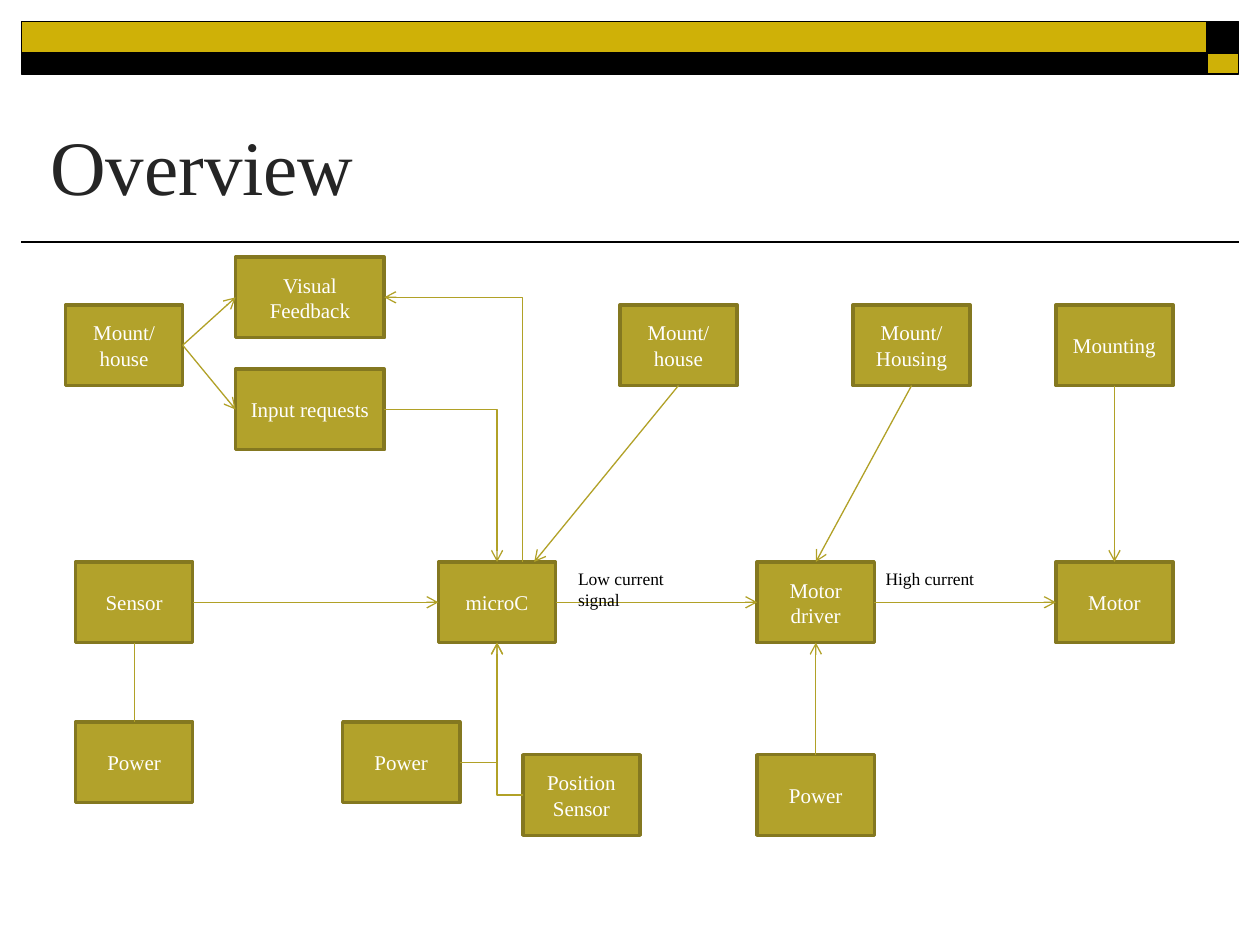
import dataclasses

import lxml.etree
import pptx
import pptx.dml.color
import pptx.enum.shapes
import pptx.enum.text
import pptx.oxml.ns
import pptx.util

Inches = pptx.util.Inches
TOP, LEFT, BOTTOM, RIGHT = range(4)


@dataclasses.dataclass(frozen=True)
class Theme:
    """Colours, font and sizes of the slide."""
    font: str = "Times New Roman"
    black: str = "000000"
    white: str = "FFFFFF"
    gold: str = "CFB107"
    title: str = "252525"
    node: str = "B2A22B"
    node_edge: str = "847820"
    arrow: str = "B1A127"
    title_size: float = 44
    node_size: float = 12
    label_size: float = 10
    rule_width: float = 1
    edge_width: float = 2
    arrow_width: float = 0.75


THEME = Theme()

NODES = {
    "sensor": ("Sensor", 0.08, 2.42, 0.93),
    "micro": ("microC", 2.96, 2.42, 0.93),
    "driver": ("Motor driver", 5.49, 2.42, 0.93),
    "motor": ("Motor", 7.86, 2.42, 0.93),
    "mounting": ("Mounting", 7.86, 0.38, 0.93),
    "driver_mount": ("Mount/\nHousing", 6.25, 0.38, 0.93),
    "micro_mount": ("Mount/\nhouse", 4.4, 0.38, 0.93),
    "panel_mount": ("Mount/\nhouse", 0, 0.38, 0.93),
    "visual": ("Visual Feedback", 1.35, 0, 1.18),
    "input": ("Input requests", 1.35, 0.89, 1.18),
    "sensor_power": ("Power", 0.08, 3.69, 0.93),
    "micro_power": ("Power", 2.2, 3.69, 0.93),
    "position": ("Position Sensor", 3.63, 3.95, 0.93),
    "driver_power": ("Power", 5.49, 3.95, 0.93),
}
NODE_HEIGHT = 0.64

STRAIGHT_ARROWS = [
    ("sensor", RIGHT, "micro", LEFT),
    ("micro", RIGHT, "driver", LEFT),
    ("driver", RIGHT, "motor", LEFT),
    ("mounting", BOTTOM, "motor", TOP),
    ("driver_mount", BOTTOM, "driver", TOP),
    ("driver_power", TOP, "driver", BOTTOM),
    ("panel_mount", RIGHT, "visual", LEFT),
    ("panel_mount", RIGHT, "input", LEFT),
]
BENT_ARROWS = [
    ("position", LEFT, "micro", BOTTOM),
    ("micro_power", RIGHT, "micro", BOTTOM),
    ("input", RIGHT, "micro", TOP),
]
LABELS = [("High current", 6.41, 2.42, 1.13, 0.41),
          ("Low current\nsignal", 3.97, 2.42, 1.1, 0.67)]


def rgb(value):
    """Turn a hex string into a colour."""
    return pptx.dml.color.RGBColor.from_string(value)


def add_rect(slide, box, fill, edge, width):
    """Add a filled rectangle with an outline."""
    sp = slide.shapes.add_shape(pptx.enum.shapes.MSO_SHAPE.RECTANGLE, *map(Inches, box))
    sp.shadow.inherit = False
    sp.fill.solid()
    sp.fill.fore_color.rgb = rgb(fill)
    sp.line.color.rgb = rgb(edge)
    sp.line.width = pptx.util.Pt(width)
    return sp


def write(sp, text, size, color, align, anchor):
    """Write one paragraph for each line of the text."""
    tf = sp.text_frame
    tf.word_wrap = True
    tf.vertical_anchor = anchor
    for i, line in enumerate(text.split("\n")):
        p = tf.add_paragraph() if i else tf.paragraphs[0]
        p.alignment = align
        r = p.add_run()
        r.text = line
        r.font.name = THEME.font
        r.font.size = pptx.util.Pt(size)
        r.font.color.rgb = rgb(color)


def add_text(slide, box, text, size, color):
    """Add a left-aligned text box."""
    sp = slide.shapes.add_textbox(*map(Inches, box))
    write(sp, text, size, color, pptx.enum.text.PP_ALIGN.LEFT, pptx.enum.text.MSO_ANCHOR.TOP)


def add_line(slide, start, end, color, width, arrow=None, bent=False):
    """Add a connector, with arrow naming the end that has an arrowhead."""
    kind = pptx.enum.shapes.MSO_CONNECTOR
    cx = slide.shapes.add_connector(kind.ELBOW if bent else kind.STRAIGHT,
                                    *map(Inches, (*start, *end)))
    cx.line.color.rgb = rgb(color)
    cx.line.width = pptx.util.Pt(width)
    qn = pptx.oxml.ns.qn
    sp_pr = cx.element.spPr
    if bent:
        sp_pr.find(qn("a:prstGeom")).set("prst", "bentConnector2")
    if arrow:
        lxml.etree.SubElement(cx.line._get_or_add_ln(), qn(f"a:{arrow}"), type="arrow")
    lxml.etree.SubElement(sp_pr, qn("a:effectLst"))
    return cx


def side_point(box, side):
    """Return the middle of one side of a box."""
    x, y, w, h = box
    return {TOP: (x + w / 2, y), LEFT: (x, y + h / 2),
            BOTTOM: (x + w / 2, y + h), RIGHT: (x + w, y + h / 2)}[side]


def add_banner(slide, box):
    """Draw the two-row gold and black band."""
    x, y, w, h = box
    corner, upper = 0.25, 0.25
    split, lower = w - corner, h - upper
    for left, top, width, height, fill in [
            (split, 0, corner, upper, THEME.black), (0, 0, split, upper, THEME.gold),
            (0, upper, split, lower, THEME.black), (split, upper, corner, lower, THEME.gold)]:
        add_rect(slide, (x + left, y + top, width, height), fill, THEME.black, THEME.rule_width)


def add_heading(slide, box):
    """Place the title with the rule along the bottom of the box."""
    x, y, w, h = box
    add_line(slide, (x + w, y + h), (x, y + h), THEME.black, THEME.rule_width)
    add_text(slide, (x + 0.13, y, 7.5, 0.8), "Overview", THEME.title_size, THEME.title)


def add_diagram(slide, box):
    """Draw the blocks, their arrows and the signal labels."""
    x, y = box[:2]
    boxes = {key: (x + left, y + top, width, NODE_HEIGHT)
             for key, (_, left, top, width) in NODES.items()}
    shapes = {}
    for key, node in NODES.items():
        shapes[key] = add_rect(slide, boxes[key], THEME.node, THEME.node_edge, THEME.edge_width)
        write(shapes[key], node[0], THEME.node_size, THEME.white,
              pptx.enum.text.PP_ALIGN.CENTER, pptx.enum.text.MSO_ANCHOR.MIDDLE)

    def link(source, side, target, arrow="tailEnd", bent=False):
        """Join a block to another block's side or to a point."""
        joined = isinstance(target[0], str)
        end = side_point(boxes[target[0]], target[1]) if joined else target
        cx = add_line(slide, side_point(boxes[source], side), end,
                      THEME.arrow, THEME.arrow_width, arrow, bent)
        cx.begin_connect(shapes[source], side)
        if joined:
            cx.end_connect(shapes[target[0]], target[1])

    for source, side, target, target_side in STRAIGHT_ARROWS:
        link(source, side, (target, target_side))
    for source, side, target, target_side in BENT_ARROWS:
        link(source, side, (target, target_side), bent=True)
    micro_top = boxes["micro"][1]
    link("micro_mount", BOTTOM, (x + 3.72, micro_top))
    link("visual", RIGHT, (x + 3.63, micro_top), arrow="headEnd", bent=True)
    link("sensor_power", TOP, ("sensor", BOTTOM), arrow=None)
    for text, left, top, width, height in LABELS:
        add_text(slide, (x + left, y + top, width, height), text, THEME.label_size, THEME.black)


def main():
    """Build and save the slide."""
    prs = pptx.Presentation()
    prs.slide_width, prs.slide_height = Inches(10), Inches(7.5)
    slide = prs.slides.add_slide(prs.slide_layouts[6])
    add_banner(slide, (0.17, 0.17, 9.66, 0.42))
    add_heading(slide, (0.17, 0.89, 9.66, 1.03))
    add_diagram(slide, (0.52, 2.04, 8.79, 4.59))
    prs.save("out.pptx")


if __name__ == "__main__":
    main()
